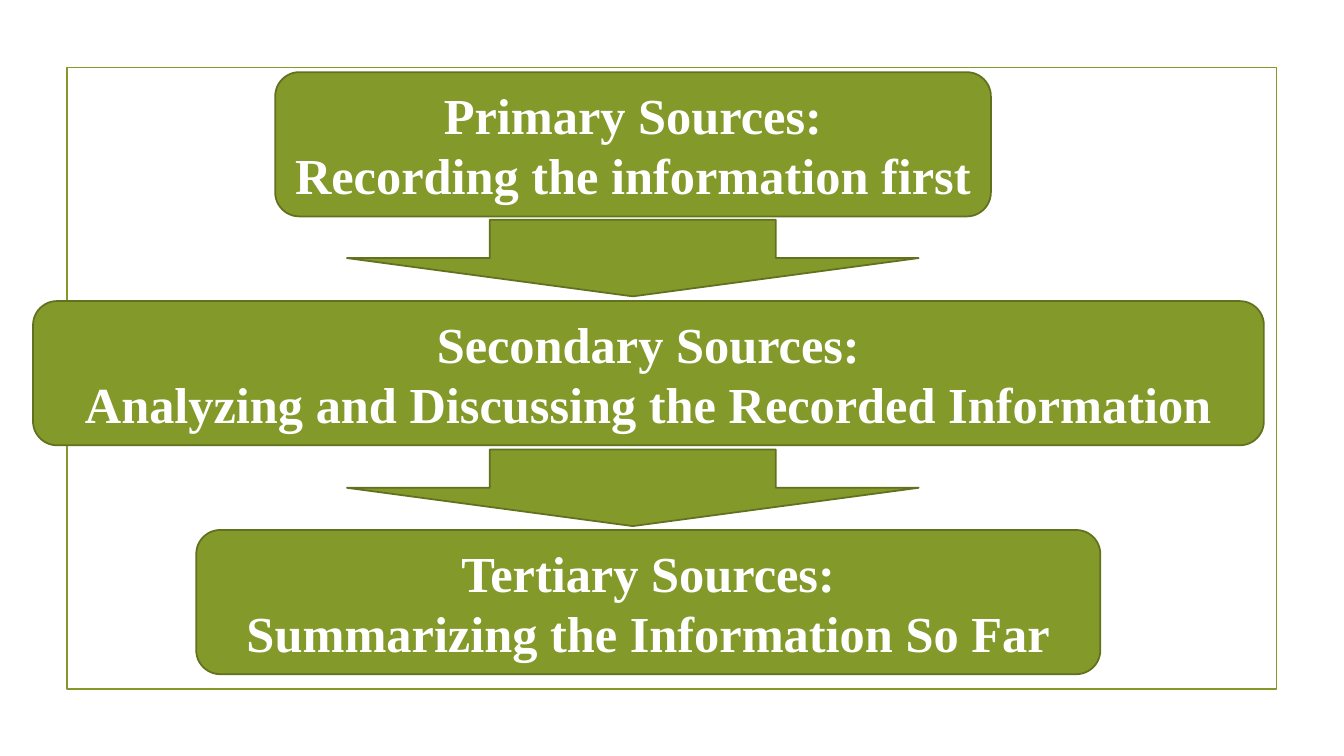
"""Build a slide showing the flow from primary to tertiary sources."""
from pptx import Presentation
from pptx.dml.color import RGBColor
from pptx.enum.shapes import MSO_SHAPE
from pptx.enum.text import MSO_ANCHOR, PP_ALIGN
from pptx.util import Pt

RECT = MSO_SHAPE.RECTANGLE
ROUNDED = MSO_SHAPE.ROUNDED_RECTANGLE
DOWN_ARROW = MSO_SHAPE.DOWN_ARROW
MIDDLE = MSO_ANCHOR.MIDDLE
CENTER = PP_ALIGN.CENTER
GREEN = RGBColor(0x83, 0x99, 0x2A)
DARK_GREEN = RGBColor(0x61, 0x71, 0x1F)
WHITE = RGBColor(0xFF, 0xFF, 0xFF)


def add_text(tf, text, size=36, color=WHITE, bold=True, font="Times New Roman"):
    tf.word_wrap = True
    tf.vertical_anchor = MIDDLE
    for i, line in enumerate(text.split("\n")):
        p = tf.paragraphs[0] if i == 0 else tf.add_paragraph()
        p.alignment = CENTER
        r = p.add_run()
        r.text = line
        r.font.name = font
        r.font.size = Pt(size)
        r.font.bold = bold
        r.font.color.rgb = color


def add_block(kind, left, top, width, height, fill=GREEN, line=DARK_GREEN):
    sp = s.shapes.add_shape(kind, Pt(left), Pt(top), Pt(width), Pt(height))
    sp.shadow.inherit = False
    if fill is None:
        sp.fill.background()
    else:
        sp.fill.solid()
        sp.fill.fore_color.rgb = fill
    sp.line.color.rgb = line
    sp.line.width = Pt(1.25)
    return sp


prs = Presentation()
prs.slide_width = Pt(960)
prs.slide_height = Pt(540)
s = prs.slides.add_slide(prs.slide_layouts[6])

add_block(RECT, 47.8, 48.2, 864, 444.2, fill=None, line=GREEN)

SOURCES = [
    (196.6, 511.2, "Primary Sources:\nRecording the information first"),
    (23.6, 879.2, "Secondary Sources:\nAnalyzing and Discussing the Recorded Information"),
    (140.2, 645.8, "Tertiary Sources:\nSummarizing the Information So Far"),
]
for i, (left, width, text) in enumerate(SOURCES):
    sp = add_block(ROUNDED, left, 51.6 + 163.5 * i, width, 103)
    add_text(sp.text_frame, text)

for i in range(len(SOURCES) - 1):
    add_block(DOWN_ARROW, 247.8, 157 + 164.1 * i, 408.4, 54.7)

prs.save("out.pptx")
